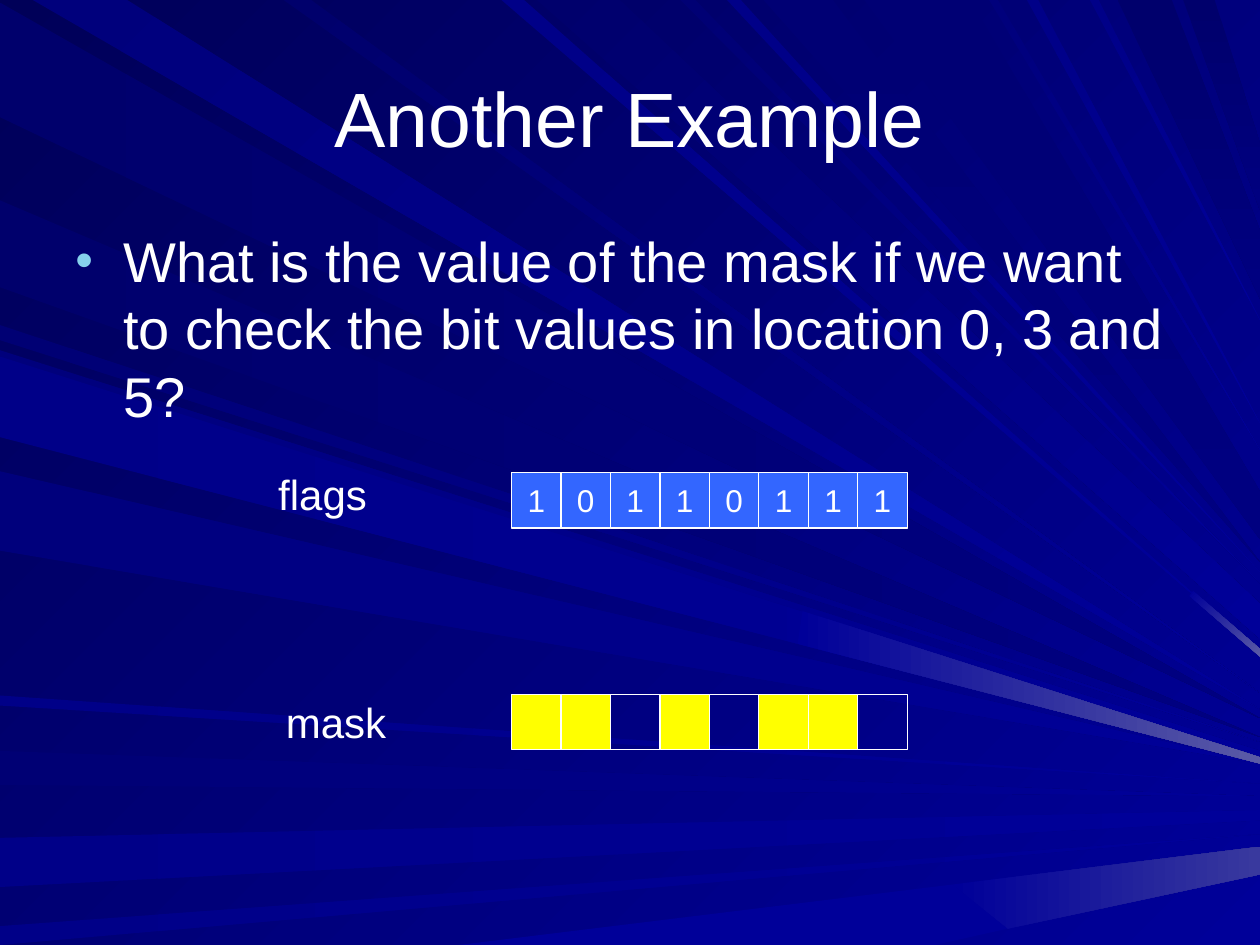
from dataclasses import dataclass
from typing import Optional

import pptx
import pptx.dml.color
import pptx.dml.fill
import pptx.enum.shapes
import pptx.enum.text
import pptx.oxml
import pptx.oxml.ns
import pptx.shapes.autoshape
import pptx.util
from lxml import etree

Inches = pptx.util.Inches
Pt = pptx.util.Pt
RGBColor = pptx.dml.color.RGBColor
PP_ALIGN = pptx.enum.text.PP_ALIGN
ANCHOR = pptx.enum.text.MSO_ANCHOR

WHITE = RGBColor.from_string("FFFFFF")
YELLOW = RGBColor.from_string("FFFF00")
FLAG_BLUE = RGBColor.from_string("3366FF")
BULLET = RGBColor.from_string("86D1EC")
MIDNIGHT = RGBColor.from_string("000058")
DARK = RGBColor.from_string("00006C")
DUSK = RGBColor.from_string("000074")
MEDIUM = RGBColor.from_string("00007C")
NAVY = RGBColor.from_string("000080")
SOFT = RGBColor.from_string("000088")
BLUE = RGBColor.from_string("000099")
GLOW = RGBColor.from_string("5A5AA6")
FAINT_GLOW = RGBColor.from_string("39399E")

FONT = "Arial"
SLIDE_W, SLIDE_H = 10, 7.5
ROW_LEFT, CELL_W, CELL_H = 4.06, 3.14 / 8, 0.44

Point = tuple[float, float]


@dataclass
class Ray:
    """A beam from a stretch of the left or top edge to a tip on the right edge."""
    near: float
    far: float
    tip: float
    start: RGBColor
    end: RGBColor = BLUE
    tip_end: Optional[float] = None


@dataclass
class Cell:
    fill: Optional[RGBColor]
    text: str = ""


LEFT_RAYS = [
    Ray(0.02, 0.93, 5.7, DARK, NAVY),
    Ray(5.96, 6.23, 6.32, DUSK),
    Ray(6.65, 7.04, 6.43, SOFT, tip_end=6.51),
    Ray(7.35, SLIDE_H, 6.62, SOFT),
    Ray(2.58, 2.7, 5.89, DUSK),
    Ray(1.59, 2.28, 5.85, DARK, NAVY),
    Ray(2.78, 3.42, 5.96, MEDIUM, tip_end=6.02),
    Ray(3.74, 4.37, 6.06, MEDIUM),
    Ray(5.52, 5.6, 6.22, SOFT),
    Ray(2.83, 3.47, 6.01, SOFT, tip_end=6.06),
]
TOP_RAYS = [
    Ray(0.26, 1.01, 5.63, MEDIUM),
    Ray(3.98, 4.16, 5.18, SOFT),
    Ray(4.26, 4.92, 5.07, DARK, tip_end=4.79),
    Ray(5.4, 5.52, 4.63, DUSK),
    Ray(6.06, 6.61, 4.46, DUSK, NAVY),
    Ray(8.87, 9.3, 2.37, DARK, NAVY, 1.83),
    Ray(9.39, 9.64, 1.67, DARK, NAVY, 1.14),
    Ray(2.25, 2.47, 5.5, DARK),
    Ray(5.77, 5.88, 4.54, SOFT),
    Ray(6.86, 7.7, 4.28, DUSK, NAVY, 3.9),
    Ray(7.85, 7.92, 3.57, MEDIUM),
    Ray(8.15, 8.24, 3.36, SOFT),
    Ray(8.65, 8.72, 2.54, SOFT),
]

FLAGS = [Cell(FLAG_BLUE, bit) for bit in "10110111"]
MASK = [Cell(YELLOW if bit == "1" else None) for bit in "11010110"]


def set_gradient(fill: pptx.dml.fill.FillFormat, start: RGBColor, end: RGBColor, angle: int) -> None:
    """Fill with two stops; the angle runs clockwise."""
    fill.gradient()
    fill.gradient_angle = (360 - angle) % 360
    for stop, color in zip(fill.gradient_stops, (start, end)):
        stop.color.rgb = color


def set_fill(fill: pptx.dml.fill.FillFormat, color: Optional[RGBColor]) -> None:
    if color is None:
        fill.background()
    else:
        fill.solid()
        fill.fore_color.rgb = color


def add_beam(shapes, outline: list[Point], start: RGBColor, end: RGBColor, angle: int = 0) -> None:
    points = [(Inches(x), Inches(y)) for x, y in outline]
    builder = shapes.build_freeform(*points[0])
    builder.add_line_segments(points[1:], close=True)
    sp = builder.convert_to_shape()
    sp.shadow.inherit = False
    sp.line.fill.background()
    if start == end:
        set_fill(sp.fill, start)
    else:
        set_gradient(sp.fill, start, end, angle)


def add_background_beams(shapes) -> None:
    for ray in LEFT_RAYS + TOP_RAYS:
        tip_end = ray.tip if ray.tip_end is None else ray.tip_end
        if ray in LEFT_RAYS:
            base, angle = [(0, ray.far), (0, ray.near)], 0
            tips = [(SLIDE_W, ray.tip), (SLIDE_W, tip_end)]
        else:
            base, angle = [(ray.far, 0), (ray.near, 0)], 90 if ray.end == NAVY else 45
            tips = [(SLIDE_W, ray.tip), (SLIDE_W, tip_end)]
        add_beam(shapes, base + tips, ray.start, ray.end, angle)
    add_beam(shapes, [(3.64, SLIDE_H), (7.42, SLIDE_H), (8, 7.37), (7.56, 7.02)], BLUE, BLUE)
    add_beam(shapes, [(7.56, 7.02), (8, 7.37), (SLIDE_W, 6.94), (SLIDE_W, 6.72)], BLUE, FAINT_GLOW)
    add_beam(shapes, [(9.44, 4.73), (9.47, 4.69), (SLIDE_W, 5.15), (SLIDE_W, 5.21)], BLUE, GLOW, 45)
    add_beam(shapes, [(6.37, 4.85), (6.33, 5.11), (SLIDE_W, 6.06), (SLIDE_W, 6.01)], BLUE, GLOW)


def add_run(p, text: str, size: int) -> None:
    r = p.add_run()
    r.text = text
    r.font.name = FONT
    r.font.size = Pt(size)
    r.font.color.rgb = WHITE


def add_text(shapes, left: float, top: float, width: float, height: float,
             text: str, size: int, wrap: bool = True) -> pptx.shapes.autoshape.Shape:
    sp = shapes.add_textbox(Inches(left), Inches(top), Inches(width), Inches(height))
    sp.text_frame.word_wrap = wrap
    add_run(sp.text_frame.paragraphs[0], text, size)
    return sp


def add_bullet(p) -> None:
    pPr = p._p.get_or_add_pPr()
    pPr.set("marL", str(Inches(0.38)))
    pPr.set("indent", str(Inches(-0.38)))
    qn = pptx.oxml.ns.qn
    color = etree.SubElement(pPr, qn("a:buClr"))
    etree.SubElement(color, qn("a:srgbClr"), val=str(BULLET))
    etree.SubElement(pPr, qn("a:buSzPct"), val="90000")
    etree.SubElement(pPr, qn("a:buFont"), typeface=FONT)
    etree.SubElement(pPr, qn("a:buChar"), char="•")


def add_bit_row(shapes, top: float, cells: list[Cell]) -> None:
    for i, cell in enumerate(cells):
        sp = shapes.add_shape(pptx.enum.shapes.MSO_SHAPE.RECTANGLE, Inches(ROW_LEFT + i * CELL_W),
                              Inches(top), Inches(CELL_W), Inches(CELL_H))
        sp.shadow.inherit = False
        set_fill(sp.fill, cell.fill)
        sp.line.color.rgb = WHITE
        sp.line.width = Pt(0.75)
        if cell.text:
            tf = sp.text_frame
            tf.word_wrap = False
            tf.vertical_anchor = ANCHOR.MIDDLE
            tf.paragraphs[0].alignment = PP_ALIGN.CENTER
            add_run(tf.paragraphs[0], cell.text, 18)


def main() -> None:
    prs = pptx.Presentation()
    prs.slide_width, prs.slide_height = Inches(SLIDE_W), Inches(SLIDE_H)
    s = prs.slides.add_slide(prs.slide_layouts[6])
    set_gradient(s.background.fill, MIDNIGHT, BLUE, 45)
    add_background_beams(s.shapes.add_group_shape().shapes)

    title = add_text(s.shapes, 0.5, 0.3, 9, 1.25, "Another Example", 44)
    title.text_frame.vertical_anchor = ANCHOR.MIDDLE
    title.text_frame.paragraphs[0].alignment = PP_ALIGN.CENTER

    question = add_text(s.shapes, 0.5, 1.75, 9, 4.95, "What is the value of the mask if we want "
                        "to check the bit values in location 0, 3 and 5?", 32)
    add_bullet(question.text_frame.paragraphs[0])

    add_bit_row(s.shapes, 3.75, FLAGS)
    add_text(s.shapes, 2.11, 3.67, 0.91, 0.5, "flags", 24, wrap=False)

    mask = s.shapes.add_group_shape()
    add_bit_row(mask.shapes, 5.51, MASK)
    add_text(mask.shapes, 2.17, 5.48, 1, 0.5, "mask", 24, wrap=False)

    prs.save("out.pptx")


if __name__ == "__main__":
    main()
